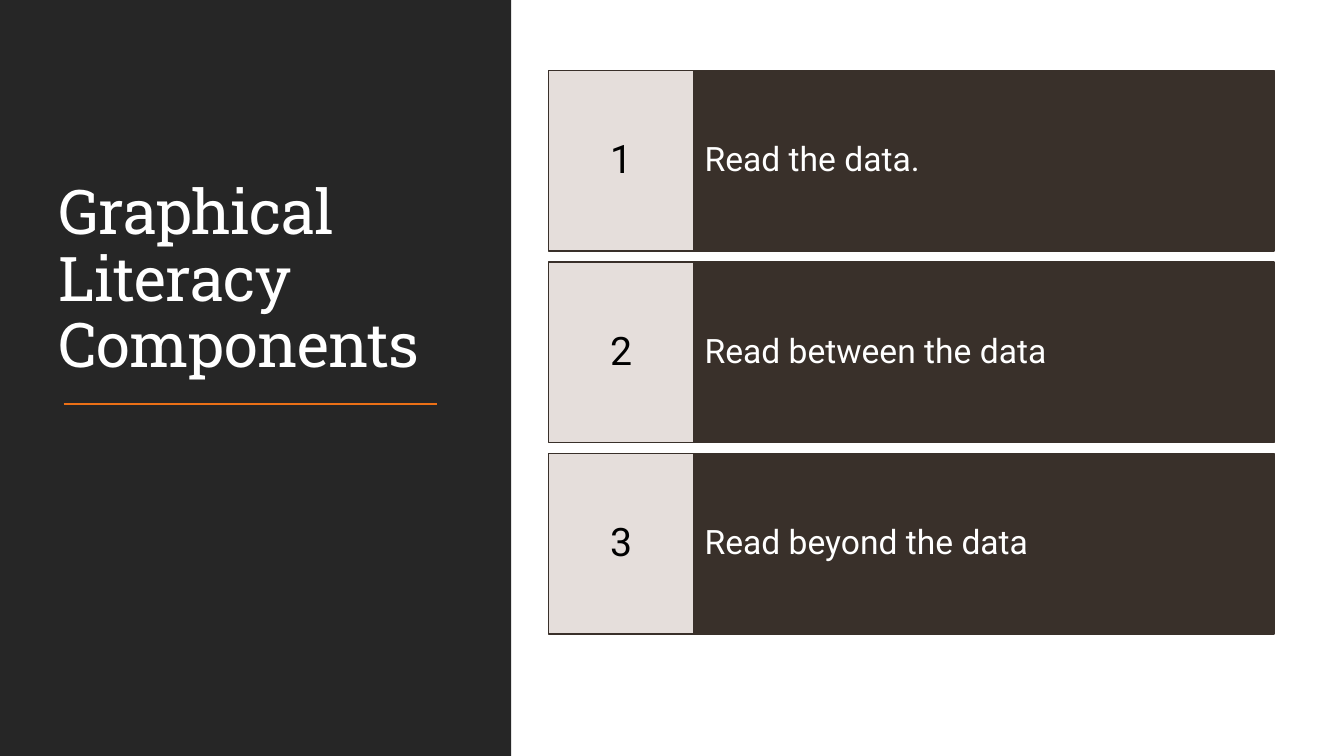
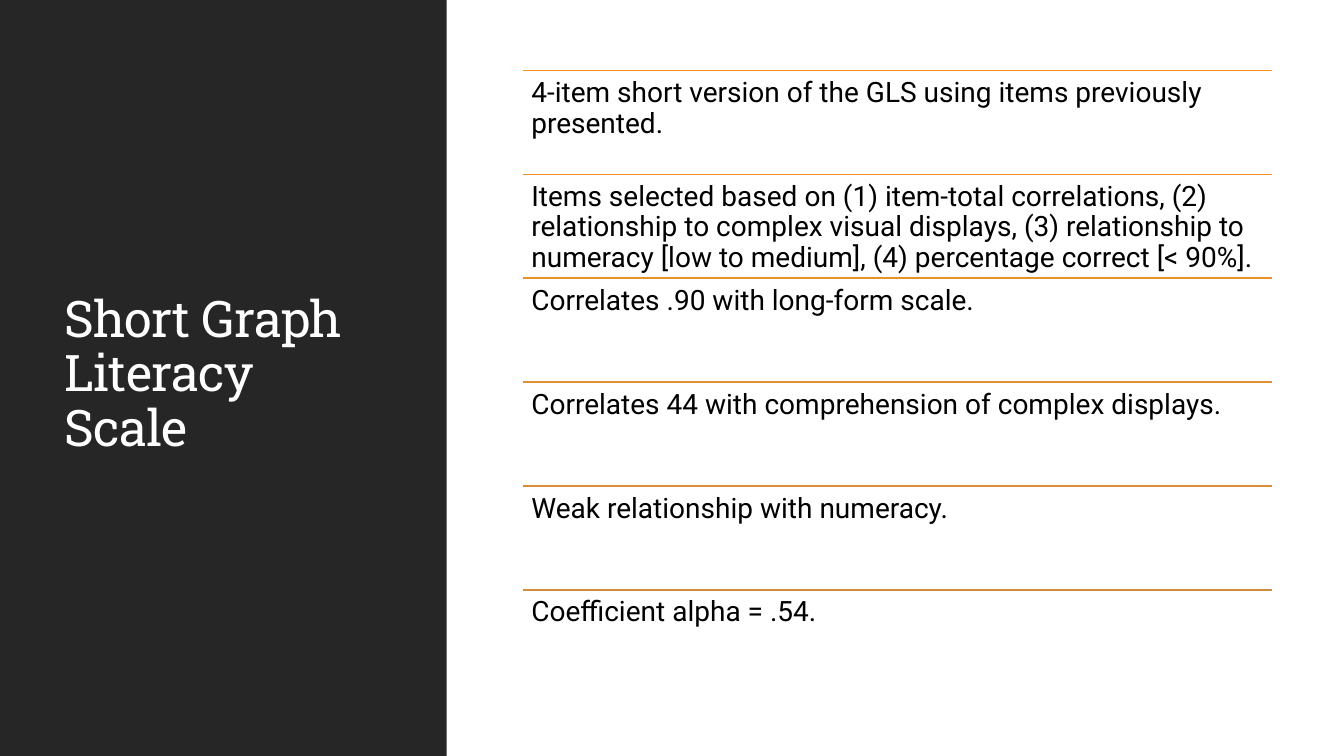
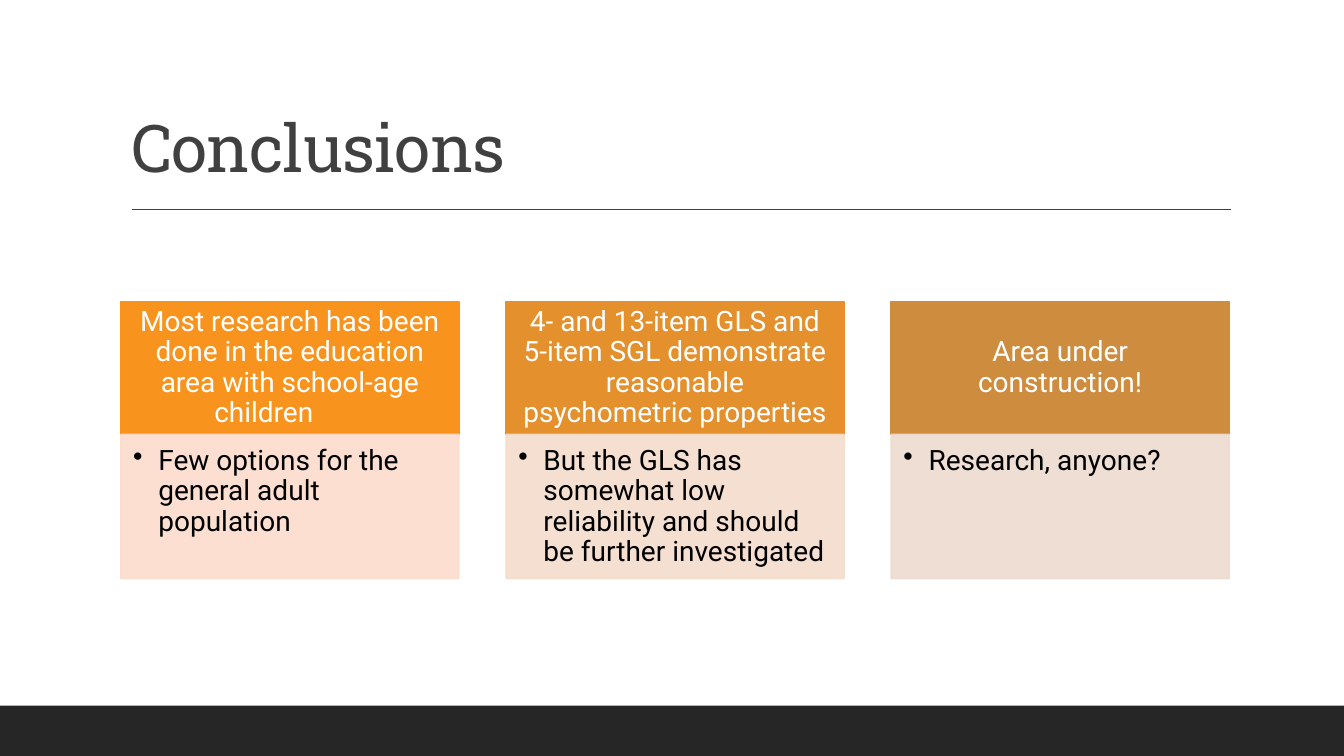
from lxml import etree
from pptx import Presentation
from pptx.dml.color import RGBColor
from pptx.enum.shapes import MSO_CONNECTOR, MSO_SHAPE
from pptx.enum.text import MSO_ANCHOR, MSO_AUTO_SIZE, PP_ALIGN
from pptx.oxml.ns import qn
from pptx.util import Inches, Pt

RECTANGLE = MSO_SHAPE.RECTANGLE
STRAIGHT = MSO_CONNECTOR.STRAIGHT
TOP, MIDDLE, BOTTOM = MSO_ANCHOR.TOP, MSO_ANCHOR.MIDDLE, MSO_ANCHOR.BOTTOM
LEFT, CENTER = PP_ALIGN.LEFT, PP_ALIGN.CENTER
NO_AUTOFIT = MSO_AUTO_SIZE.NONE
TITLE_ONLY = 5

DARK, WHITE, BLACK, GREY = "262626", "FFFFFF", "000000", "404040"
BROWN, PALE, ORANGE = "39302A", "E5DEDB", "EC7016"
WIDTH, HEIGHT = 13.33, 7.5


def color(value):
    return RGBColor.from_string(value)


def set_opacity(fill_element, percent):
    alpha = etree.SubElement(fill_element.find(".//" + qn("a:srgbClr")), qn("a:alpha"))
    alpha.set("val", str(percent * 1000))


class Deck:
    title_font = "Roboto Slab"
    body_font = "Roboto"
    title_margins = (0.1, 0.05, 0.1, 0.05)

    def __init__(self):
        self.presentation = Presentation()
        self.presentation.slide_width = Inches(WIDTH)
        self.presentation.slide_height = Inches(HEIGHT)
        self.slide = None

    def new_slide(self):
        layout = self.presentation.slide_layouts[TITLE_ONLY]
        self.slide = self.presentation.slides.add_slide(layout)

    def set_text(self, shape, text, size, text_color, margins, anchor=TOP,
                 align=LEFT, font_name=body_font, bullet=False):
        frame = shape.text_frame
        frame.word_wrap = True
        frame.auto_size = NO_AUTOFIT
        frame.vertical_anchor = anchor
        (frame.margin_left, frame.margin_top,
         frame.margin_right, frame.margin_bottom) = map(Inches, margins)
        paragraph = frame.paragraphs[0]
        paragraph.text = text
        paragraph.alignment = align
        paragraph.line_spacing = 0.9
        if bullet:
            properties = paragraph._p.get_or_add_pPr()
            properties.set("marL", str(Inches(0.25)))
            properties.set("indent", str(Inches(-0.25)))
            etree.SubElement(properties, qn("a:buChar")).set("char", "•")
        paragraph.font.name = font_name
        paragraph.font.size = Pt(size)
        paragraph.font.color.rgb = color(text_color)
        return paragraph

    def title(self, text, left, top, width, height, size, text_color, anchor):
        shape = self.slide.shapes.title
        shape.left, shape.top = Inches(left), Inches(top)
        shape.width, shape.height = Inches(width), Inches(height)
        paragraph = self.set_text(shape, text, size, text_color, self.title_margins,
                                  anchor, font_name=self.title_font)
        paragraph.runs[0]._r.get_or_add_rPr().set("spc", "-50")

    def box(self, left, top, width, height, fill, line=None, opacity=100):
        shape = self.slide.shapes.add_shape(
            RECTANGLE, Inches(left), Inches(top), Inches(width), Inches(height))
        shape.shadow.inherit = False
        shape.fill.solid()
        shape.fill.fore_color.rgb = color(fill)
        if line:
            shape.line.color.rgb = color(line)
            shape.line.width = Pt(1.25)
        else:
            shape.line.fill.background()
        if opacity < 100:
            properties = shape._element.spPr
            set_opacity(properties.find(qn("a:solidFill")), opacity)
            set_opacity(properties.find(qn("a:ln")), opacity)
        return shape

    def band(self, left, top, width, height):
        panel = self.box(left, top, width, height, DARK)
        self.slide.shapes.title._element.addprevious(panel._element)

    def text_box(self, left, top, width, height):
        return self.slide.shapes.add_textbox(
            Inches(left), Inches(top), Inches(width), Inches(height))

    def rule(self, left, top, right, line_color, weight):
        connector = self.slide.shapes.add_connector(
            STRAIGHT, Inches(left), Inches(top), Inches(right), Inches(top))
        connector.line.color.rgb = color(line_color)
        connector.line.width = Pt(weight)
        etree.SubElement(connector._element.spPr, qn("a:effectLst"))


def add_components(deck):
    deck.new_slide()
    deck.band(0, 0, 5.07, HEIGHT)
    deck.title("Graphical Literacy Components", 0.48, 0.7, 4, 3.13, 44, WHITE, BOTTOM)
    deck.rule(0.63, 4.01, 4.33, ORANGE, 1.5)
    components = ["Read the data.", "Read between the data", "Read beyond the data"]
    for index, component in enumerate(components):
        top = 0.7 + 1.9 * index
        bar = deck.box(6.88, top, 5.76, 1.79, BROWN, BROWN)
        deck.set_text(bar, component, 24, WHITE, (0.11, 0.46, 0.11, 0.46), MIDDLE)
        number = deck.box(5.44, top, 1.44, 1.79, PALE, BROWN)
        deck.set_text(number, str(index + 1), 28, BLACK, (0.08, 0.18, 0.08, 0.18),
                      MIDDLE, CENTER)


def add_short_scale(deck):
    deck.new_slide()
    deck.band(0, 0, 4.43, HEIGHT)
    deck.title("Short Graph Literacy Scale", 0.54, 0.57, 3.37, 6.31, 36, WHITE, MIDDLE)
    findings = [
        ("F8931D", "4-item short version of the GLS using items previously presented."),
        ("F09223", "Items selected based on (1) item-total correlations, (2) relationship "
                   "to complex visual displays, (3) relationship to numeracy [low to "
                   "medium], (4) percentage correct [< 90%]."),
        ("E8912A", "Correlates .90 with long-form scale."),
        ("DF9030", "Correlates 44 with comprehension of complex displays."),
        ("D78E37", "Weak relationship with numeracy."),
        ("CE8D3E", "Coefficient alpha = .54."),
    ]
    for index, (line_color, finding) in enumerate(findings):
        top = 0.7 + 1.03 * index
        deck.rule(5.19, top, 12.62, line_color, 1.25)
        row = deck.text_box(5.19, top, 7.43, 1.03)
        deck.set_text(row, finding, 20, BLACK, (0.08, 0.08, 0.08, 0.08))


def add_conclusions(deck):
    deck.new_slide()
    deck.band(0, 7, WIDTH, 0.5)
    deck.title("Conclusions", 1.2, 0.31, 11, 1.59, 47, GREY, BOTTOM)
    deck.rule(1.31, 2.08, 12.21, GREY, 1)
    conclusions = [
        ("F8931D", "Most research has been done in the education area with "
                   "school-age children \t",
         "FCDCCD", "Few options for the general adult population"),
        ("E3902D", "4- and 13-item GLS and 5-item SGL demonstrate reasonable "
                   "psychometric properties",
         "F5DCCD", "But the GLS has somewhat low reliability and should be "
                   "further investigated"),
        ("CE8D3E", "Area under construction!", "EDDBCF", "Research, anyone?"),
    ]
    for index, (head_fill, heading, body_fill, detail) in enumerate(conclusions):
        left = 1.2 + 3.82 * index
        head = deck.box(left, 2.99, 3.35, 1.32, head_fill, head_fill)
        deck.set_text(head, heading, 20, WHITE, (0.16, 0.09, 0.16, 0.09), MIDDLE, CENTER)
        body = deck.box(left, 4.31, 3.35, 1.43, body_fill, body_fill, opacity=90)
        deck.set_text(body, detail, 20, BLACK, (0.12, 0.12, 0.16, 0.17), bullet=True)


def main():
    deck = Deck()
    add_components(deck)
    add_short_scale(deck)
    add_conclusions(deck)
    deck.presentation.save("out.pptx")


if __name__ == "__main__":
    main()
